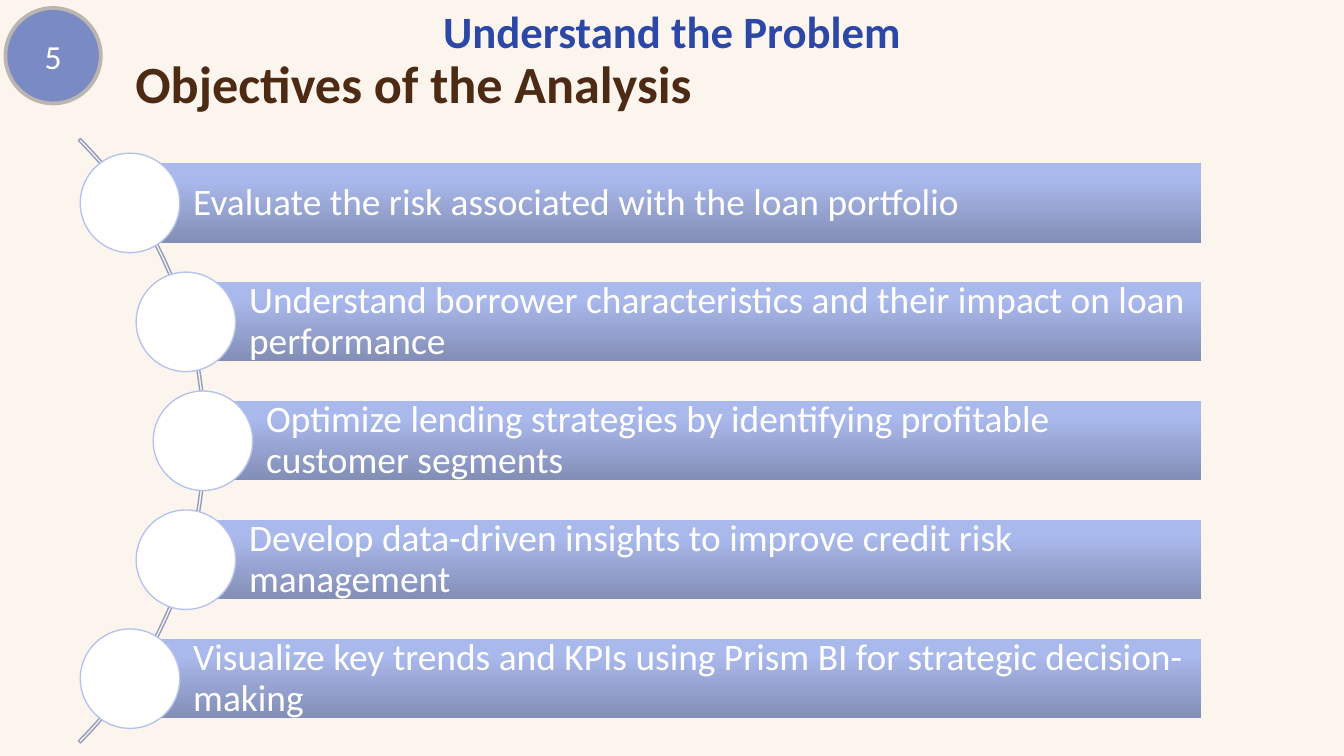
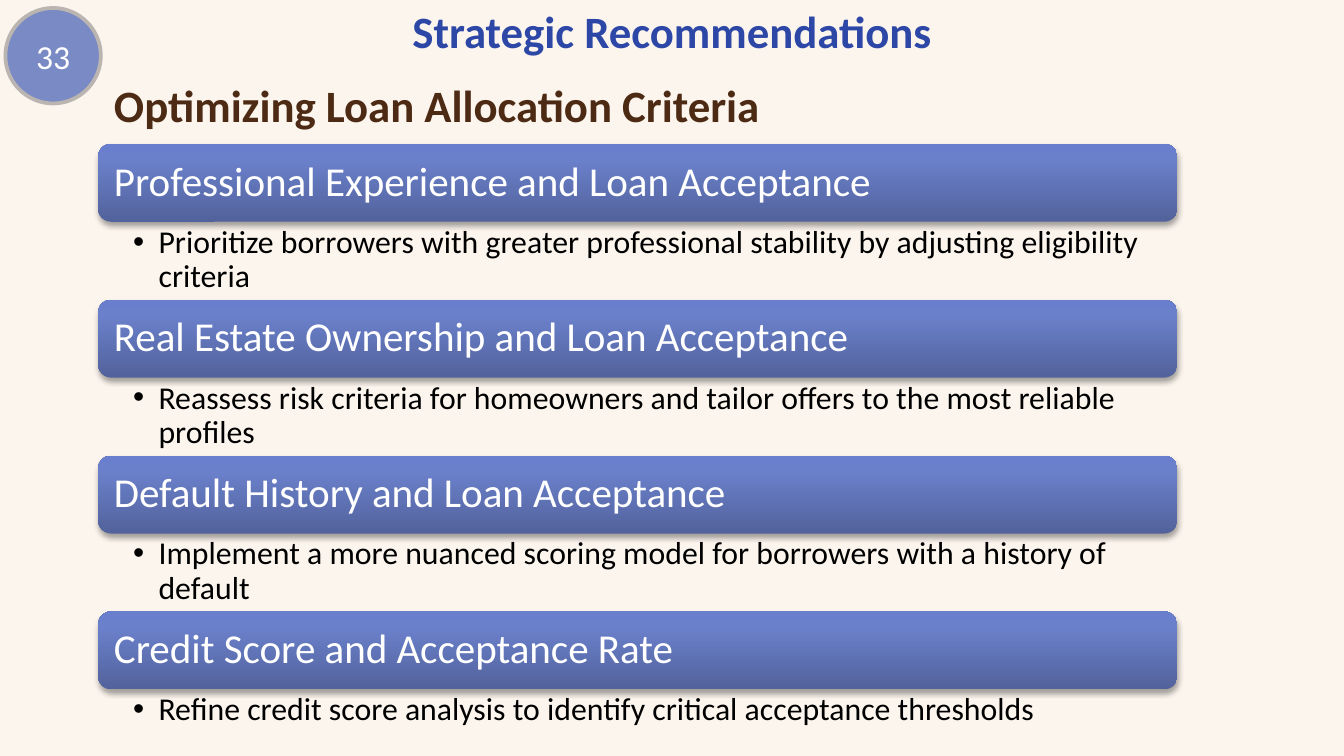
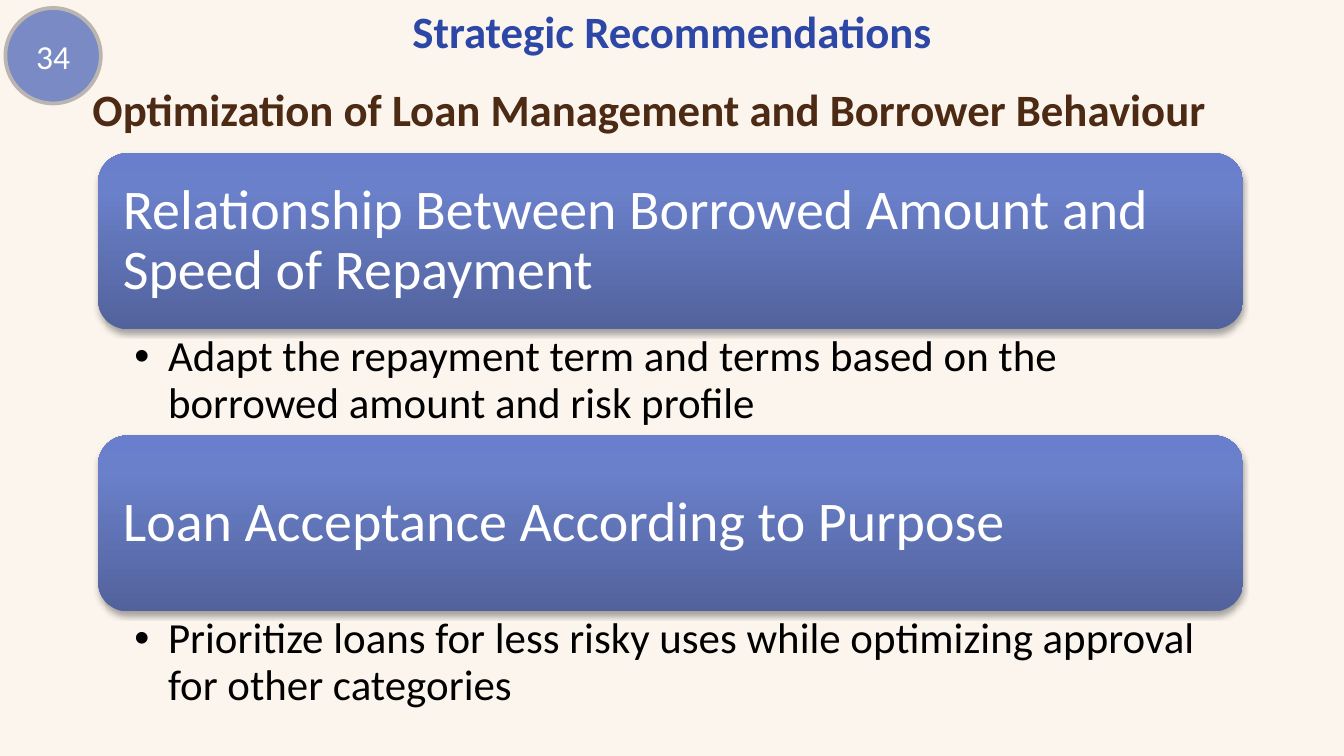
from copy import deepcopy
from dataclasses import dataclass
from math import sqrt

from lxml import etree
from pptx import Presentation
from pptx.dml.color import RGBColor
from pptx.enum.shapes import MSO_SHAPE
from pptx.enum.text import MSO_ANCHOR, MSO_AUTO_SIZE, PP_ALIGN
from pptx.oxml.ns import qn
from pptx.util import Inches, Pt

RECT, ROUND = MSO_SHAPE.RECTANGLE, MSO_SHAPE.ROUNDED_RECTANGLE
OVAL, ARC = MSO_SHAPE.OVAL, MSO_SHAPE.BLOCK_ARC
TOP, MID = MSO_ANCHOR.TOP, MSO_ANCHOR.MIDDLE
LEFT, CENTER = PP_ALIGN.LEFT, PP_ALIGN.CENTER
FIXED, GROW = MSO_AUTO_SIZE.NONE, MSO_AUTO_SIZE.SHAPE_TO_FIT_TEXT
ONLY, PAIR, QUAD = 5, 3, 4


@dataclass(frozen=True)
class Theme:
    """Colours, font and type sizes of the deck."""
    font: str = "Calibri"
    back: str = "FCF5EE"
    blue: str = "2C47A6"
    brown: str = "4C2A13"
    white: str = "FFFFFF"
    black: str = "000000"
    badge: str = "798AC5"
    rim: str = "BAB5B0"
    arc: str = "939CBD"
    ring: str = "B7C3EC"
    pale: tuple = ((0, "838EB6"), (0.8, "AAB9EC"), (1, "A9B9EF"))
    deep: tuple = ((0, "52629C"), (0.8, "6A80CA"), (1, "697FCD"))
    title: int = 24
    item: int = 20
    count: int = 18


THEME = Theme()
INSET = (0.1, 0.05, 0.1, 0.05)

GOALS = {
    "title": "Understand the Problem", "num": "5",
    "head": ("Objectives of the Analysis", (0.91, 0.33, 8, 0.44), 28),
    "items": [
        "Evaluate the risk associated with the loan portfolio",
        "Understand borrower characteristics and their impact on loan performance",
        "Optimize lending strategies by identifying profitable customer segments",
        "Develop data-driven insights to improve credit risk management",
        "Visualize key trends and KPIs using Prism BI for strategic decision-making",
    ],
}
LOANS = {
    "title": "Strategic Recommendations", "num": "33", "layout": QUAD,
    "head": ("Optimizing Loan Allocation Criteria", (0.75, 0.53, 5.83, 0.5), 24),
    "box": (0.73, 1.07, 8.03, 4.47), "bar": 0.58, "note": 0.59, "step": 1.16,
    "sizes": (22, 17), "pad": 0.09, "inset": (0.26, 0.03, 0.17, 0.03), "hang": 0.19,
    "items": [
        ("Professional Experience and Loan Acceptance",
         "Prioritize borrowers with greater professional stability by adjusting eligibility criteria"),
        ("Real Estate Ownership and Loan Acceptance",
         "Reassess risk criteria for homeowners and tailor offers to the most reliable profiles"),
        ("Default History and Loan Acceptance",
         "Implement a more nuanced scoring model for borrowers with a history of default"),
        ("Credit Score and Acceptance Rate",
         "Refine credit score analysis to identify critical acceptance thresholds"),
    ],
}
TERMS = {
    "title": "Strategic Recommendations", "num": "34", "layout": PAIR,
    "head": ("Optimization of Loan Management and Borrower Behaviour",
             (0.59, 0.56, 8.66, 0.5), 24),
    "box": (0.73, 1.14, 8.52, 4.22), "bar": 1.31, "note": 0.8, "step": 2.1,
    "sizes": (30, 23), "pad": 0.12, "inset": (0.27, 0.04, 0.23, 0.04), "hang": 0.25,
    "items": [
        ("Relationship Between Borrowed Amount and Speed of Repayment",
         "Adapt the repayment term and terms based on the borrowed amount and risk profile"),
        ("Loan Acceptance According to Purpose",
         "Prioritize loans for less risky uses while optimizing approval for other categories"),
    ],
}


def apply(target, values):
    """Set each named attribute of the target."""
    for name, value in values.items():
        setattr(target, name, value)


def rgb(code):
    """Turn a hex code into a colour."""
    return RGBColor.from_string(code)


def place(shape, box):
    """Move a shape to a box given in inches."""
    apply(shape, dict(zip(("left", "top", "width", "height"), map(Inches, box))))


def write(shape, text, size, color, bold=False, align=LEFT, anchor=TOP,
          inset=INSET, fit=FIXED, space=1.0, hang=0):
    """Fill a shape with one formatted paragraph, bulleted if it hangs."""
    frame = shape.text_frame
    sides = ("margin_left", "margin_top", "margin_right", "margin_bottom")
    apply(frame, {"word_wrap": True, "auto_size": fit, "vertical_anchor": anchor,
                  **dict(zip(sides, map(Inches, inset)))})
    para = frame.paragraphs[0]
    if hang:
        para.level = 1
        props = para._p.get_or_add_pPr()
        props.set("marL", str(Inches(hang)))
        props.set("indent", str(-Inches(hang)))
        etree.SubElement(props, qn("a:buChar")).set("char", "•")
    apply(para, {"alignment": align, "line_spacing": space, "space_before": Pt(0)})
    run = para.add_run()
    run.text = text
    apply(run.font, {"name": THEME.font, "size": Pt(size), "bold": bold})
    run.font.color.rgb = rgb(color)


def draw(slide, kind, box, fill=None, line=None, width=0.75):
    """Add a flat preset shape."""
    shape = slide.shapes.add_shape(kind, *map(Inches, box))
    shape.shadow.inherit = False
    if fill:
        shape.fill.solid()
        shape.fill.fore_color.rgb = rgb(fill)
    else:
        shape.fill.background()
    if line:
        shape.line.color.rgb = rgb(line)
        shape.line.width = Pt(width)
    else:
        shape.line.fill.background()
    return shape


def shade(shape, stops):
    """Give a shape a gradient that runs from bottom to top."""
    shape.fill.gradient()
    shape.fill.gradient_angle = 90
    marks = shape._element.spPr.find(".//" + qn("a:gsLst"))
    marks.append(deepcopy(marks[0]))
    for mark, (spot, color) in zip(shape.fill.gradient_stops, stops):
        mark.position = spot
        mark.color.rgb = rgb(color)


def lift(shape):
    """Cast a soft shadow below a shape."""
    effects = shape._element.spPr.find(qn("a:effectLst"))
    cast = etree.SubElement(effects, qn("a:outerShdw"), blurRad=str(Pt(3.1)),
                            dist=str(Pt(1.8)), dir="5400000", rotWithShape="0")
    tint = etree.SubElement(cast, qn("a:srgbClr"), val=THEME.black)
    etree.SubElement(tint, qn("a:alpha"), val="35000")


def start(deck, data):
    """Add a slide with its title, heading and number badge."""
    slide = deck.slides.add_slide(deck.slide_layouts[data.get("layout", ONLY)])
    place(slide.shapes.title, (2, -0.02, 6, 0.5))
    write(slide.shapes.title, data["title"], THEME.title, THEME.blue, True, CENTER, fit=GROW)
    text, box, size = data["head"]
    head = slide.shapes.add_textbox(*map(Inches, box))
    write(head, text, size, THEME.brown, True, fit=GROW)
    badge = draw(slide, OVAL, (0.04, 0.06, 0.71, 0.71), THEME.badge, THEME.rim, 2)
    write(badge, data["num"], THEME.count, THEME.white, align=CENTER, anchor=MID)
    return slide


def curve(slide, items, box):
    """Hang bars and discs on an arc that is centred on the box's left edge."""
    left, top, width, height = box
    bar, disc, reach, span = 0.59, 0.74, 3.16, 3.54
    mid = top + height / 2
    arc = draw(slide, ARC, (left - height / 2, top, height, height), line=THEME.arc)
    for spot, value in enumerate((189, 27, 0.0034)):
        arc.adjustments[spot] = value
    for spot, text in enumerate(items):
        drop = span * (spot / (len(items) - 1) - 0.5)
        x, y = left + sqrt(reach ** 2 - drop ** 2), mid + drop
        band = draw(slide, RECT, (x, y - bar / 2, left + width - x, bar))
        shade(band, THEME.pale)
        write(band, text, THEME.item, THEME.white, anchor=MID,
              inset=(0.47, 0.06, 0.06, 0.06), space=0.9)
        draw(slide, OVAL, (x - disc / 2, y - disc / 2, disc, disc), THEME.white, THEME.ring)


def stack(slide, data):
    """Stack bars, each followed by its bulleted note, down the box."""
    left, top, width, height = data["box"]
    bar, note = data["bar"], data["note"]
    large, small = data["sizes"]
    notes = list(slide.placeholders)[1:]
    for spot, ((name, text), body) in enumerate(zip(data["items"], notes)):
        y = top + spot * data["step"]
        band = draw(slide, ROUND, (left, y, width, bar))
        shade(band, THEME.deep)
        lift(band)
        write(band, name, large, THEME.white, anchor=MID, inset=(data["pad"],) * 4, space=0.9)
        place(body, (left, y + bar, width, min(note, top + height - y - bar)))
        write(body, text, small, THEME.black, inset=data["inset"], space=0.9, hang=data["hang"])


def main():
    """Build and save the deck."""
    deck = Presentation()
    apply(deck, {"slide_width": Inches(10), "slide_height": Inches(10) * 9 // 16})
    back = deck.slide_master.background.fill
    back.solid()
    back.fore_color.rgb = rgb(THEME.back)
    curve(start(deck, GOALS), GOALS["items"], (-1.65, 0.1, 10.59, 6.36))
    for data in (LOANS, TERMS):
        stack(start(deck, data), data)
    deck.save("out.pptx")


if __name__ == "__main__":
    main()
